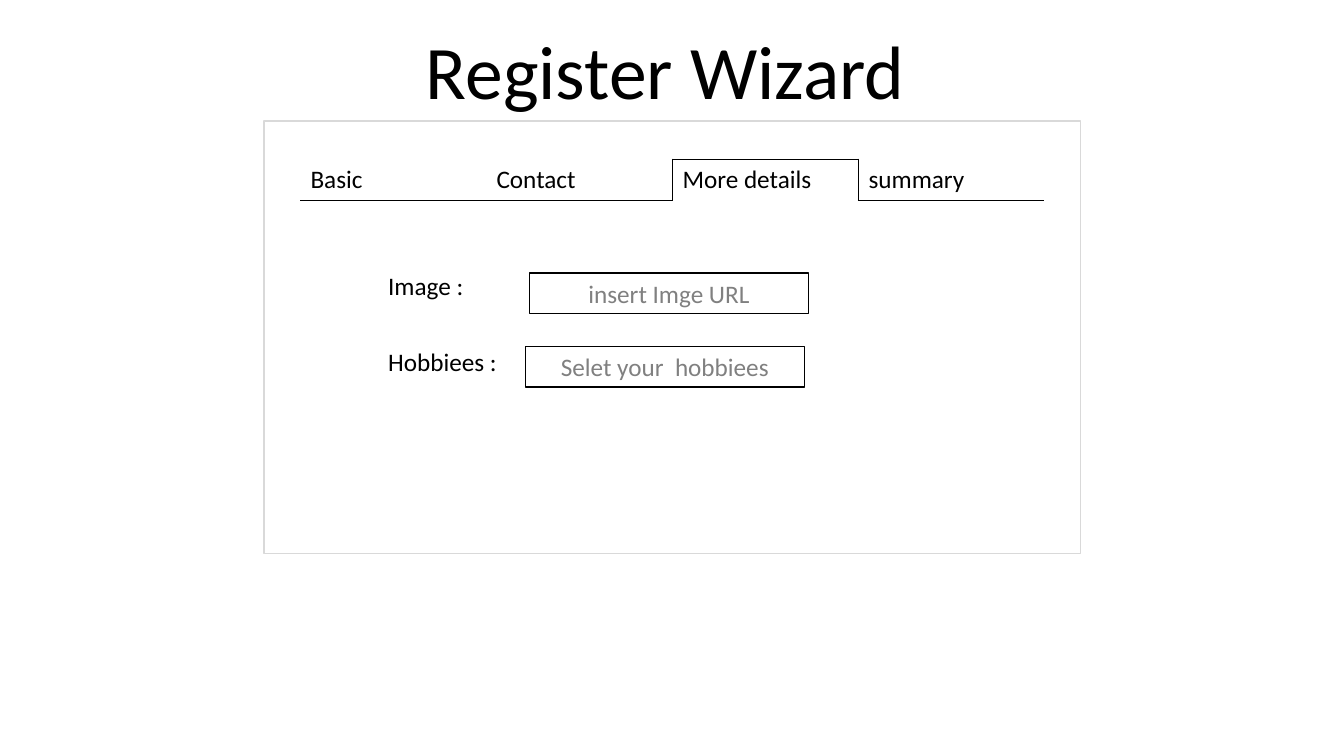
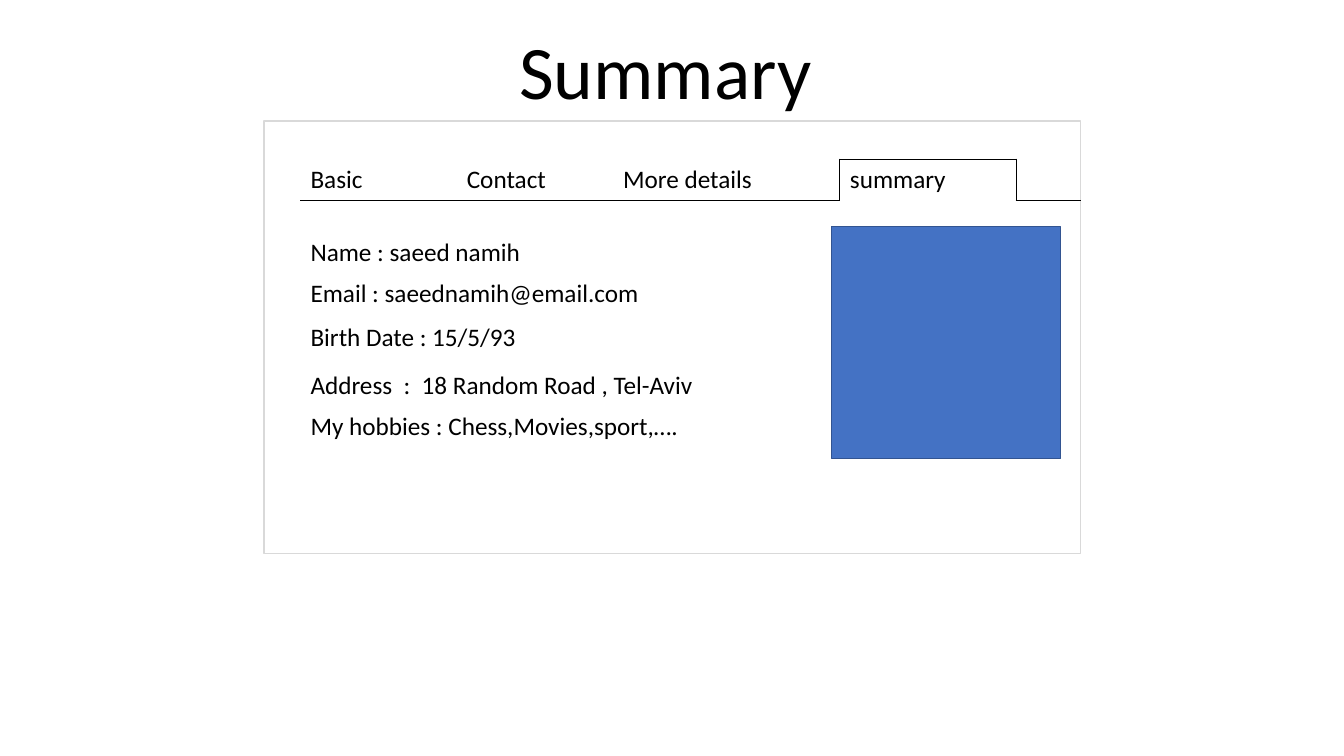
from lxml import etree
from pptx import Presentation
from pptx import util as u
from pptx.dml.color import RGBColor
from pptx.enum import shapes, text
from pptx.oxml.ns import qn

FONT = "Calibri"
BODY_SIZE = 18
COLOURS = {
    "ink": "000000",
    "paper": "FFFFFF",
    "frame": "D9D9D9",
    "hint": "808080",
    "photo": "4472C4",
    "photo_edge": "325491",
}
PLAIN_TABLE_STYLE = "{2D5ABB26-0587-4C30-8999-92F81FD0307C}"
TAB_NAMES = ["Basic", "Contact", "More details", "summary"]
TABS_LEFT, TABS_TOP = 2.98, 1.58
ROW_HEIGHT = 0.4


def colour(name):
    return RGBColor.from_string(COLOURS[name])


def inches(*lengths):
    return [u.Inches(length) for length in lengths]


def write(frame, words, size=BODY_SIZE, ink="ink", align=text.PP_ALIGN.LEFT):
    para = frame.paragraphs[0]
    para.text = words
    para.alignment = align
    para.font.name = FONT
    para.font.size = u.Pt(size)
    para.font.color.rgb = colour(ink)
    return para


def add_titled_page(deck, title):
    """Add a page with its title and the empty wizard frame."""
    page = deck.slides.add_slide(deck.slide_layouts[5])
    box = page.shapes.title
    box.left, box.top, box.width, box.height = inches(1.6, 0.37, 10, 0.83)
    frame = box.text_frame
    frame.auto_size = text.MSO_AUTO_SIZE.NONE
    frame.vertical_anchor = text.MSO_ANCHOR.BOTTOM
    para = write(frame, title, size=54, align=text.PP_ALIGN.CENTER)
    para.line_spacing = 0.9
    add_box(page, (2.62, 1.2, 8.1, 4.29), "paper", "frame")
    return page


def add_box(page, place, fill, edge):
    box = page.shapes.add_shape(shapes.MSO_SHAPE.RECTANGLE, *inches(*place))
    box.shadow.inherit = False
    box.fill.solid()
    box.fill.fore_color.rgb = colour(fill)
    box.line.color.rgb = colour(edge)
    box.line.width = u.Pt(1)
    return box


def add_input(page, left, top, hint):
    box = add_box(page, (left, top, 2.77, 0.4), "paper", "ink")
    box.text_frame.word_wrap = True
    box.text_frame.vertical_anchor = text.MSO_ANCHOR.MIDDLE
    write(box.text_frame, hint, ink="hint", align=text.PP_ALIGN.CENTER)


def add_border(cell, side):
    """Draw one side of a cell: L, R, T or B."""
    line = etree.SubElement(cell._tc.get_or_add_tcPr(), qn(f"a:ln{side}"), w=str(u.Pt(1)))
    fill = etree.SubElement(line, qn("a:solidFill"))
    etree.SubElement(fill, qn("a:srgbClr"), val=COLOURS["ink"])


def add_plain_table(page, left, top, widths, heights, rows, borders=None):
    """Add an unfilled table; borders maps a column to its drawn sides."""
    place = inches(left, top, sum(widths), sum(heights))
    table = page.shapes.add_table(len(heights), len(widths), *place).table
    table.first_row = table.horz_banding = False
    table._tbl.tblPr.find(qn("a:tableStyleId")).text = PLAIN_TABLE_STYLE
    for column, width in zip(table.columns, widths):
        column.width = u.Inches(width)
    for row, height, row_words in zip(table.rows, heights, rows):
        row.height = u.Inches(height)
        for index, (cell, words) in enumerate(zip(row.cells, row_words)):
            for side in (borders or {}).get(index, ""):
                add_border(cell, side)
            cell.fill.background()
            write(cell.text_frame, words)


def add_tabs(page, names, widths, active):
    """Add the tab strip, with the active tab open at its bottom."""
    borders = {index: "B" for index in range(len(names))}
    borders[active - 1] = "RB"
    borders[active] = "LRT"
    if active + 1 < len(names):
        borders[active + 1] = "LB"
    add_plain_table(page, TABS_LEFT, TABS_TOP, widths, [ROW_HEIGHT], [names], borders)


def add_column(page, left, top, width, heights, lines):
    add_plain_table(page, left, top, [width], heights, [[line] for line in lines])


def build_details_page(deck):
    page = add_titled_page(deck, "Register Wizard")
    add_column(page, 3.75, 2.64, 1.54, [0.76] * 3, ["Image :", "Hobbiees :", ""])
    add_input(page, 5.25, 2.71, "insert Imge URL")
    add_input(page, 5.21, 3.44, "Selet your  hobbiees")
    add_tabs(page, TAB_NAMES, [1.845] * 4, active=2)


def build_summary_page(deck):
    page = add_titled_page(deck, "Summary")
    add_tabs(page, TAB_NAMES + [""], [1.55, 1.55, 2.25, 1.75, 0.64], active=3)
    add_box(page, (8.25, 2.25, 2.27, 2.3), "photo", "photo_edge")
    answers = [
        "Name : saeed namih",
        "Email : saeednamih@email.com",
        "Birth Date : 15/5/93",
        "Address  :  18 Random Road , Tel-Aviv",
        "My hobbies : Chess,Movies,sport,….",
        "",
    ]
    heights = [ROW_HEIGHT, 0.43, 0.48, ROW_HEIGHT, 0.63, ROW_HEIGHT]
    add_column(page, TABS_LEFT, 2.31, 5.27, heights, answers)


def main():
    deck = Presentation()
    deck.slide_width, deck.slide_height = inches(13.33, 7.5)
    build_details_page(deck)
    build_summary_page(deck)
    deck.save("out.pptx")


if __name__ == "__main__":
    main()
